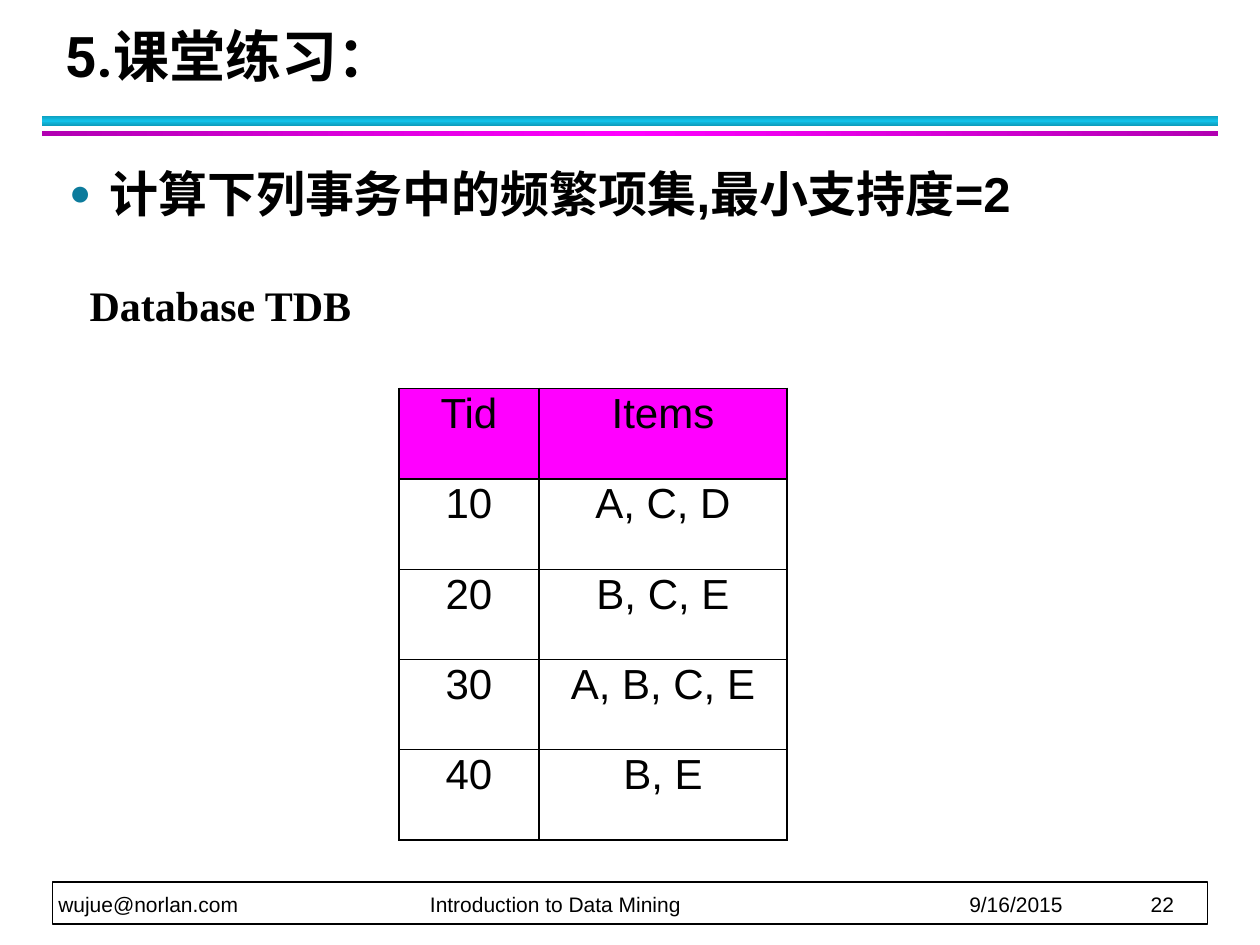
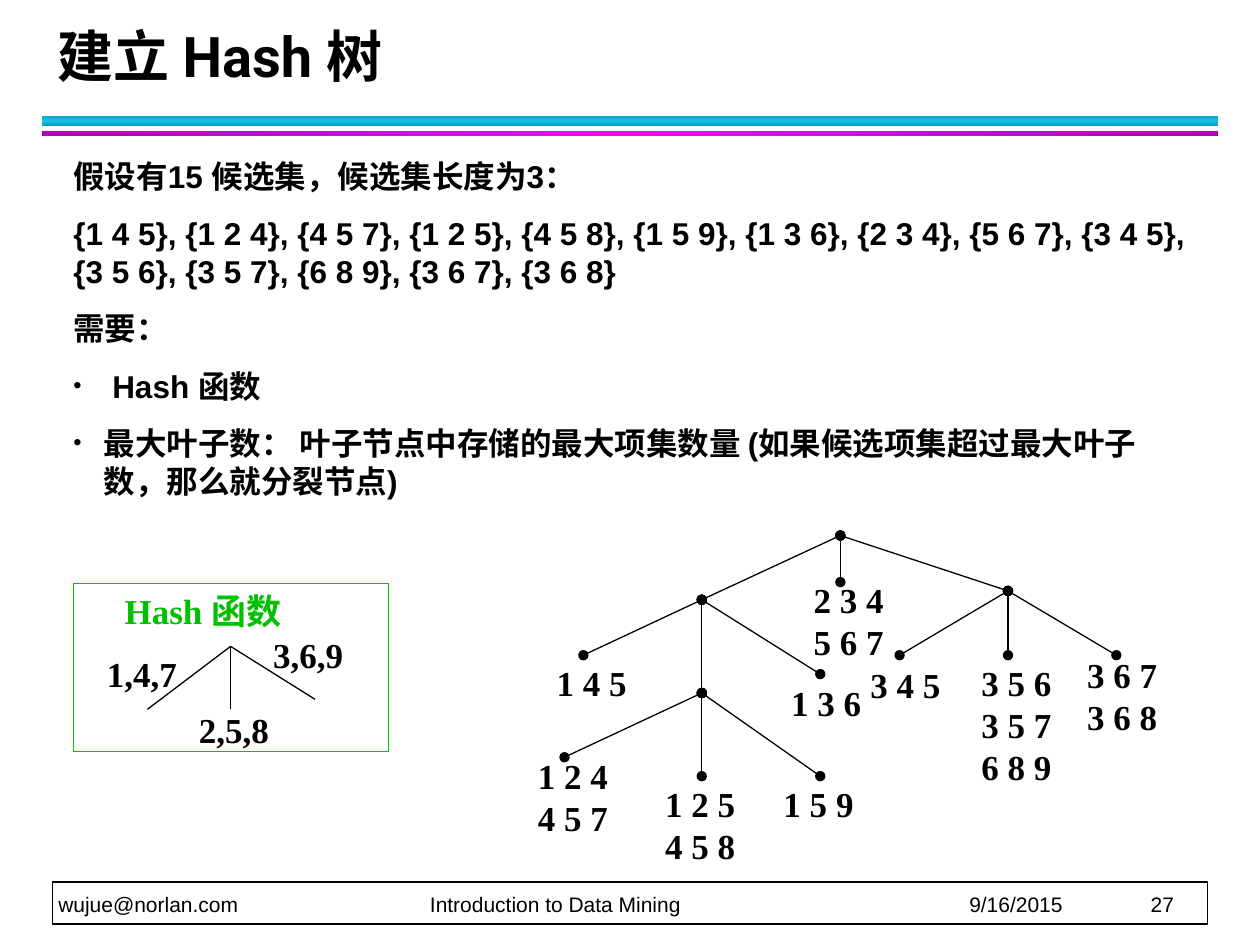
"""Builds two data mining slides: a frequent itemset exercise and a hash tree."""
from copy import deepcopy

from lxml import etree
from pptx import Presentation
from pptx.dml.color import RGBColor
from pptx.enum.shapes import MSO_CONNECTOR, MSO_SHAPE
from pptx.enum.text import MSO_ANCHOR, MSO_AUTO_SIZE, PP_ALIGN
from pptx.oxml.ns import qn
from pptx.util import Inches, Pt

RECT, STRAIGHT = MSO_SHAPE.RECTANGLE, MSO_CONNECTOR.STRAIGHT
TOP, MIDDLE, BOTTOM = MSO_ANCHOR.TOP, MSO_ANCHOR.MIDDLE, MSO_ANCHOR.BOTTOM
FIXED, GROW = MSO_AUTO_SIZE.NONE, MSO_AUTO_SIZE.SHAPE_TO_FIT_TEXT
CENTER = PP_ALIGN.CENTER
ARIAL, ROBOTO, TIMES = "Arial", "Roboto", "Times New Roman"
BLACK, WHITE, MAGENTA, GREEN, TEAL = "000000", "FFFFFF", "FF00FF", "00C000", "0C7B9C"
rgb = RGBColor.from_string

prs = Presentation()
prs.slide_width, prs.slide_height = Inches(10), Inches(7.5)
U = prs.slide_width / 100


def add_text(s, box, lines, size, font=TIMES, bold=True, color=BLACK,
             wrap=False, anchor=TOP, inset=(1, 0.5), para={}):
    tf = s.shapes.add_textbox(*[int(v * U) for v in box]).text_frame
    tf.word_wrap, tf.vertical_anchor = wrap, anchor
    tf.auto_size = FIXED if wrap else GROW
    tf.margin_left = tf.margin_right = int(inset[0] * U)
    tf.margin_top = tf.margin_bottom = int(inset[1] * U)
    for i, line in enumerate(lines):
        p = tf.paragraphs[0] if i == 0 else tf.add_paragraph()
        for name, value in para.items():
            setattr(p, name, value)
        r = p.add_run()
        r.text = line
        for name, value in {"size": Pt(size), "name": font, "bold": bold}.items():
            setattr(r.font, name, value)
        r.font.color.rgb = rgb(color)
    return tf


def add_line(s, start, end, dots=False):
    c = s.shapes.add_connector(STRAIGHT, *[int(v * U) for v in (*start, *end)])
    c.line.width = Pt(0.75)
    c.line.color.rgb = rgb(BLACK)
    spPr = c._element.spPr
    if dots:
        for tag in ("a:headEnd", "a:tailEnd"):
            etree.SubElement(spPr.find(qn("a:ln")), qn(tag), type="oval")
    etree.SubElement(spPr, qn("a:effectLst"))


BARS = [
    ((3.33, 9.17, 93.33, 0.83), ("0E9BBA", "12C2E9", "0E9BBA"), 90),
    ((3.33, 10.4, 93.33, 0.4), ("B200B2", MAGENTA, "B200B2"), 0),
]
FOOTER_TABS = (29.5, 72.3, 86.7)
slides = []
for title, left, number in [("5.课堂练习：", 4.15, 22), ("建立 Hash 树", 3.6, 27)]:
    s = prs.slides.add_slide(prs.slide_layouts[6])
    slides.append(s)
    for box, colors, angle in BARS:
        sp = s.shapes.add_shape(RECT, *[int(v * U) for v in box])
        sp.shadow.inherit = False
        sp.line.fill.background()
        sp.fill.gradient()
        sp.fill.gradient_angle = angle
        stops = sp._element.spPr.find(".//" + qn("a:gsLst"))
        stops.append(deepcopy(stops[0]))
        for i, stop in enumerate(sp.fill.gradient_stops):
            stop.position = i / 2
            stop.color.rgb = rgb(colors[i])
    sp = s.shapes.add_shape(RECT, *[int(v * U) for v in (4.17, 70, 91.67, 3.33)])
    sp.shadow.inherit = False
    sp.fill.solid()
    sp.fill.fore_color.rgb = rgb(WHITE)
    sp.line.color.rgb = rgb(BLACK)
    sp.line.width = Pt(1)
    footer = f"wujue@norlan.com\tIntroduction to Data Mining\t9/16/2015\t{number}"
    tf = add_text(s, (4.63, 67.15, 91, 5.6), [footer], 12, ARIAL, False, wrap=True,
                  anchor=BOTTOM, inset=(0, 0), para={"line_spacing": Pt(20)})
    tabs = etree.SubElement(tf.paragraphs[0]._p.get_or_add_pPr(), qn("a:tabLst"))
    for tab in FOOTER_TABS:
        etree.SubElement(tabs, qn("a:tab"), pos=str(int(tab * U)), algn="l")
    add_text(s, (left, 1.7, 90.6, 5.8), [title], 32, ROBOTO, wrap=True,
             anchor=BOTTOM, para={"line_spacing": Pt(36)})

s = slides[0]
task = add_text(s, (4.5, 12.5, 91, 56.7), ["计算下列事务中的频繁项集,最小支持度=2"], 28,
                ARIAL, wrap=True, para={"space_before": Pt(3.5), "space_after": Pt(4)})
add_text(s, (6.1, 21.7, 22.8, 5), ["Database TDB"], 24, anchor=MIDDLE,
         para={"alignment": CENTER})

ROWS = [("Tid", "Items"), ("10", "A, C, D"), ("20", "B, C, E"),
        ("30", "A, B, C, E"), ("40", "B, E")]
EDGES = (1.08, 1.08, 0.45, 0.45, 0.45, 1.08)
table = s.shapes.add_table(len(ROWS), 2,
                           *[int(v * U) for v in (31.67, 30.83, 30.83, 35.83)]).table
table.first_row = table.horz_banding = False
for col, width in zip(table.columns, (11.1, 19.7)):
    col.width = int(width * U)
for i, row in enumerate(ROWS):
    for j, value in enumerate(row):
        cell = table.cell(i, j)
        p = cell.text_frame.paragraphs[0]
        p.alignment, p.line_spacing = CENTER, 0.9
        r = p.add_run()
        r.text = value
        r.font.size, r.font.name = Pt(24), ARIAL
        r.font.color.rgb = rgb(BLACK)
        if i == 0:
            cell.fill.solid()
            cell.fill.fore_color.rgb = rgb(MAGENTA)
        else:
            cell.fill.background()
        tcPr = cell._tc.get_or_add_tcPr()
        widths = {"L": 1.08, "R": 1.08, "T": EDGES[i], "B": EDGES[i + 1]}
        for k, (side, width) in enumerate(widths.items()):
            ln = etree.Element(qn("a:ln" + side), w=str(Pt(width)))
            fill = etree.SubElement(ln, qn("a:solidFill"))
            etree.SubElement(fill, qn("a:srgbClr"), val=BLACK)
            tcPr.insert(k, ln)

s = slides[1]
ROOT, LEFT, RIGHT, LOW = (66.7, 42.5), (55.7, 47.6), (80, 46.9), (55.7, 55)
for start, end in [(ROOT, LEFT), (ROOT, RIGHT), (LEFT, LOW)]:
    add_line(s, start, end, dots=True)
LEAVES = [
    (ROOT, (66.7, 46.2), (63.6, 45.4), ["2 3 4", "5 6 7"]),
    (LEFT, (46.3, 52), (43.2, 52), ["1 4 5"]),
    (LEFT, (65.1, 53.5), (61.8, 53.6), ["1 3 6"]),
    (LOW, (44.8, 60.1), (41.7, 59.4), ["1 2 4", "4 5 7"]),
    (LOW, (55.7, 61.6), (51.8, 61.6), ["1 2 5", "4 5 8"]),
    (LOW, (65.1, 61.6), (61.2, 61.6), ["1 5 9"]),
    (RIGHT, (71.4, 52), (68.1, 52.2), ["3 4 5"]),
    (RIGHT, (80, 52), (76.9, 52), ["3 5 6", "3 5 7", "6 8 9"]),
    (RIGHT, (88.6, 52), (85.3, 51.4), ["3 6 7", "3 6 8"]),
]
for parent, leaf, corner, itemsets in LEAVES:
    add_line(s, parent, leaf, dots=True)
    add_text(s, (*corner, 7.6, 1.1 + 3.3 * len(itemsets)), itemsets, 20)

BRANCHES = [
    ((11.7, 56.3), (7.5, 51.3), "1,4,7"),
    ((18.3, 56.3), (14.8, 55.7), "2,5,8"),
    ((25, 55.5), (20.7, 49.8), "3,6,9"),
]
for end, corner, label in BRANCHES:
    add_line(s, (18.3, 51.3), end)
    add_text(s, (*corner, 7.6, 4.4), [label], 20)
add_text(s, (8.9, 46.3, 15.1, 4.4), ["Hash 函数"], 20, color=GREEN)
sp = s.shapes.add_shape(RECT, *[int(v * U) for v in (5.83, 46.3, 25, 13.33)])
sp.shadow.inherit = False
sp.fill.background()
sp.line.color.rgb = rgb(GREEN)
sp.line.width = Pt(0.75)

NEEDS = [
    "假设有15 候选集，候选集长度为3：",
    "{1 4 5}, {1 2 4}, {4 5 7}, {1 2 5}, {4 5 8}, {1 5 9}, {1 3 6}, {2 3 4}, {5 6 7}, "
    "{3 4 5}, {3 5 6}, {3 5 7}, {6 8 9}, {3 6 7}, {3 6 8}",
    "需要：",
    " Hash 函数",
    "最大叶子数： 叶子节点中存储的最大项集数量 (如果候选项集超过最大叶子数，那么就分裂节点)",
]
needs = add_text(s, (4.83, 11.94, 90.8, 28.3), NEEDS, 18, ARIAL, wrap=True,
                 para={"space_before": Pt(11.2)})

BULLETS = [(task.paragraphs[0], "●", TEAL, 3.2)]
BULLETS += [(p, "•", BLACK, 2.4) for p in needs.paragraphs[3:]]
for p, char, color, indent in BULLETS:
    pPr = p._p.get_or_add_pPr()
    margin = int(indent * U)
    for name, value in {"marL": margin, "indent": -margin, "hangingPunct": 0}.items():
        pPr.set(name, str(value))
    etree.SubElement(etree.SubElement(pPr, qn("a:buClr")), qn("a:srgbClr"), val=color)
    etree.SubElement(pPr, qn("a:buSzPct"), val="75000")
    etree.SubElement(pPr, qn("a:buFont"), typeface=ARIAL)
    etree.SubElement(pPr, qn("a:buChar"), char=char)

prs.save("out.pptx")
